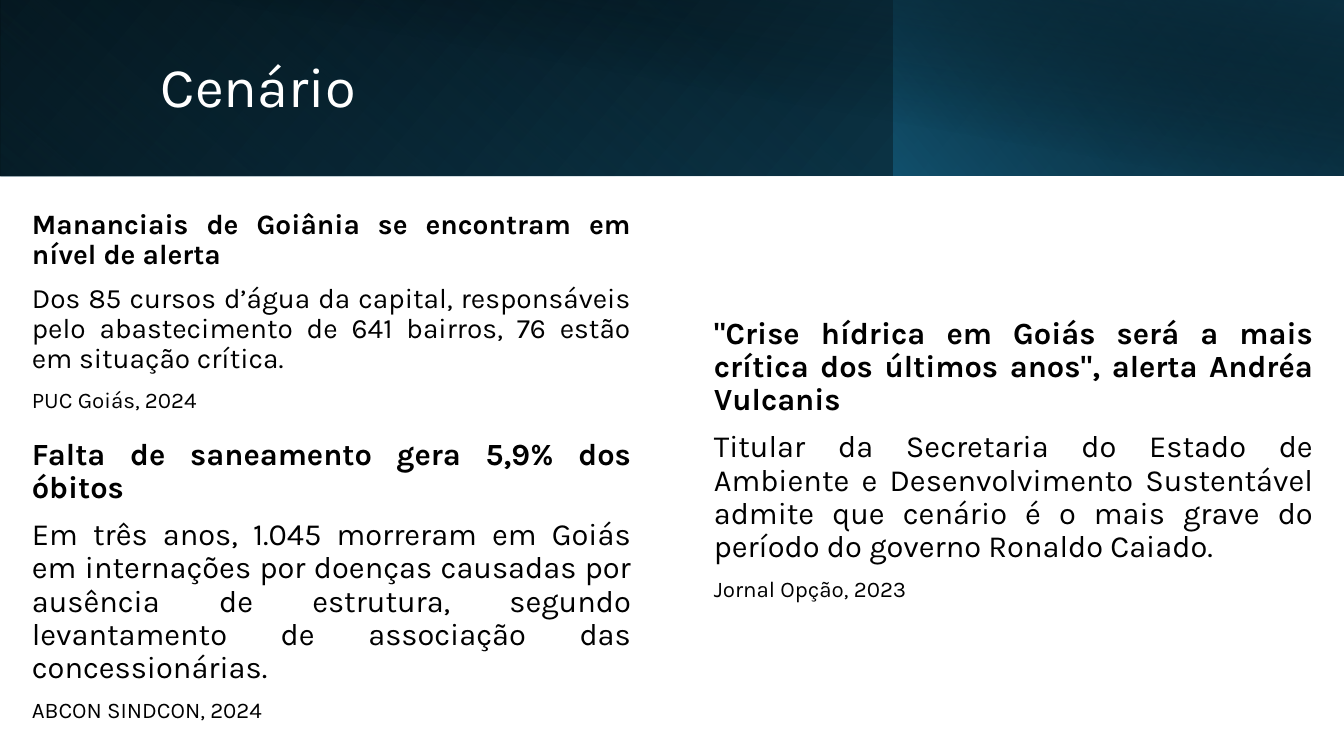
import pptx
import pptx.util
import pptx.oxml
import pptx.oxml.ns
import pptx.dml.color
import pptx.enum.shapes
import pptx.enum.text

SCALE = 12192000 / 1344
FONT = "Karla"
HUES = {
    "black": "000000",
    "white": "FFFFFF",
    "navy": "0B3041",
    "teal": "156082",
    "deep": "104862",
}
ALIGN = pptx.enum.text.PP_ALIGN


def px(n):
    return pptx.util.Emu(round(n * SCALE))


def fade(shape, stops, angle):
    marks = "".join(
        f'<a:gs pos="{pos * 1000}"><a:srgbClr val="{HUES[hue]}">'
        f'<a:alpha val="{alpha * 1000}"/></a:srgbClr></a:gs>'
        for pos, hue, alpha in stops
    )
    fill = pptx.oxml.parse_xml(
        f'<a:gradFill {pptx.oxml.ns.nsdecls("a")} rotWithShape="1">'
        f'<a:gsLst>{marks}</a:gsLst>'
        f'<a:lin ang="{angle * 60000}" scaled="0"/></a:gradFill>'
    )
    props = shape._element.spPr
    props.find(pptx.oxml.ns.qn("a:prstGeom")).addnext(fill)


def panel(slide, box, stops, angle, flip=True, turn=0):
    shape = slide.shapes.add_shape(
        pptx.enum.shapes.MSO_SHAPE.RECTANGLE, *map(px, box)
    )
    shape.shadow.inherit = False
    shape.line.fill.background()
    shape.rotation = turn
    if flip:
        shape._element.spPr.xfrm.set("flipH", "1")
    fade(shape, stops, angle)


def write(slide, box, items):
    frame = slide.shapes.add_textbox(*map(px, box)).text_frame
    frame.word_wrap = True
    frame.vertical_anchor = pptx.enum.text.MSO_ANCHOR.MIDDLE
    for i, (text, size, bold, hue, align) in enumerate(items):
        para = frame.add_paragraph() if i else frame.paragraphs[0]
        para.text = text
        para.alignment = align
        para.line_spacing = 0.9
        para.space_before = pptx.util.Pt(10 if i else 0)
        para.font.name = FONT
        para.font.size = pptx.util.Pt(size)
        para.font.bold = bold
        para.font.color.rgb = pptx.dml.color.RGBColor.from_string(HUES[hue])


def banner(slide, box, title):
    x, y, w, h = box
    split = 894
    panel(slide, box, [(0, "black", 100), (100, "deep", 100)], 140)
    panel(slide, (x, y, split, h),
          [(20, "teal", 0), (100, "navy", 55)], 230, turn=180)
    panel(slide, (x + split, y, w - split, h),
          [(0, "teal", 66), (100, "black", 30)], 220)
    panel(slide, (x + 50, y, w - 50, h),
          [(50, "black", 0), (99, "navy", 52)], 280, flip=False)
    write(slide, (x + 151, y + 32, 1091, 114),
          [(title, 40, False, "white", ALIGN.LEFT)])


def story(slide, box, size, head, body, source):
    write(slide, box, [
        (head, size, True, "black", ALIGN.JUSTIFY),
        (body, size, False, "black", ALIGN.JUSTIFY),
        (source, 16, False, "black", ALIGN.LEFT),
    ])


def main():
    deck = pptx.Presentation()
    deck.slide_width, deck.slide_height = px(1344), px(756)
    slide = deck.slides.add_slide(deck.slide_layouts[6])
    banner(slide, (0, 0, 1344, 176), "Cenário")
    left, right, wide = 22, 704, 619
    story(
        slide, (left, 200, wide, 223), 20,
        "Mananciais de Goiânia se encontram em nível de alerta",
        "Dos 85 cursos d’água da capital, responsáveis pelo abastecimento "
        "de 641 bairros, 76 estão em situação crítica.",
        "PUC Goiás, 2024",
    )
    story(
        slide, (left, 448, wide, 266), 22,
        "Falta de saneamento gera 5,9% dos óbitos",
        "Em três anos, 1.045 morreram em Goiás em internações por doenças "
        "causadas por ausência de estrutura, segundo levantamento de "
        "associação das concessionárias.",
        "ABCON SINDCON, 2024",
    )
    story(
        slide, (right, 327, wide, 266), 22,
        '"Crise hídrica em Goiás será a mais crítica dos últimos anos", '
        "alerta Andréa Vulcanis",
        "Titular da Secretaria do Estado de Ambiente e Desenvolvimento "
        "Sustentável admite que cenário é o mais grave do período do "
        "governo Ronaldo Caiado.",
        "Jornal Opção, 2023",
    )
    deck.save("out.pptx")


if __name__ == "__main__":
    main()
